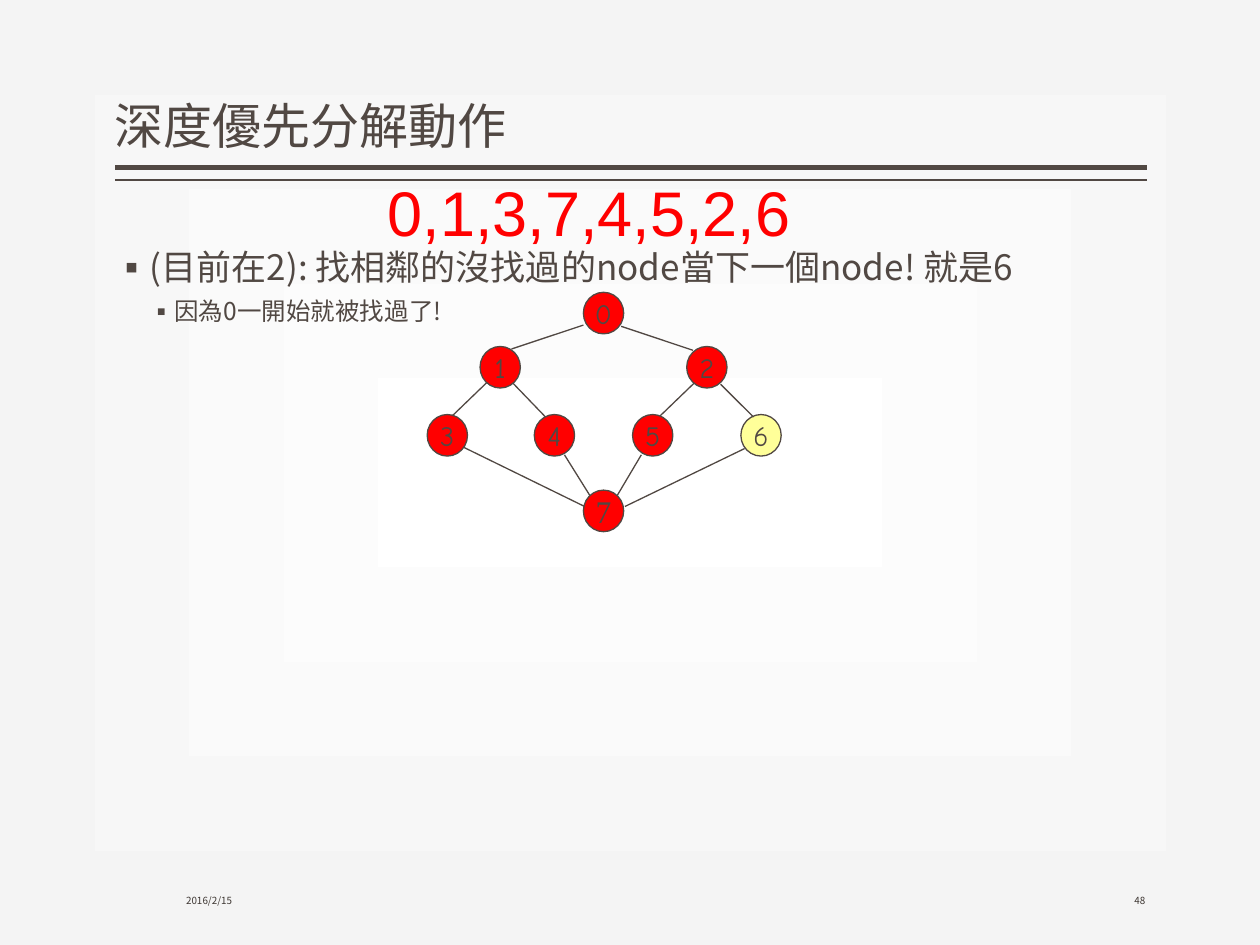
from lxml import etree
from pptx import Presentation
from pptx.dml.color import RGBColor
from pptx.enum.shapes import MSO_CONNECTOR, MSO_SHAPE
from pptx.enum.text import MSO_ANCHOR, MSO_AUTO_SIZE, PP_ALIGN
from pptx.oxml.ns import qn
from pptx.util import Inches, Pt

STRAIGHT = MSO_CONNECTOR.STRAIGHT
ELLIPSE = MSO_SHAPE.OVAL
TOP, MIDDLE, BOTTOM = MSO_ANCHOR.TOP, MSO_ANCHOR.MIDDLE, MSO_ANCHOR.BOTTOM
LEFT, CENTER, RIGHT = PP_ALIGN.LEFT, PP_ALIGN.CENTER, PP_ALIGN.RIGHT
NO_FIT, GROW = MSO_AUTO_SIZE.NONE, MSO_AUTO_SIZE.SHAPE_TO_FIT_TEXT

COLORS = {
    "text": "514843",
    "footer": "3D3632",
    "visited": "FF0000",
    "next": "FFFF99",
    "center": "FFFFFF",
    "edge": "F4F4F4",
}
BODY_FONT = "Noto Sans CJK SC"
NODE_FONT = "Comic Neue"
NODE_WIDTH, NODE_HEIGHT = 0.32, 0.33

NODES = [
    ("0", 4.63, 2.32),
    ("7", 4.63, 3.89),
    ("1", 3.81, 2.75),
    ("3", 3.39, 3.29),
    ("4", 4.24, 3.29),
    ("2", 5.45, 2.75),
    ("5", 5.02, 3.29),
    ("6", 5.88, 3.29),
]
EDGES = [
    (4.63, 2.58, 4.06, 2.77),
    (4.93, 2.59, 5.5, 2.78),
    (3.86, 3.04, 3.59, 3.3),
    (4.07, 3.04, 4.33, 3.31),
    (4.68, 3.93, 4.48, 3.61),
    (4.9, 3.93, 5.09, 3.61),
    (4.64, 4.02, 3.68, 3.55),
    (4.96, 4.02, 5.91, 3.56),
    (5.51, 3.04, 5.24, 3.3),
    (5.72, 3.05, 5.98, 3.31),
]
BULLETS = [
    ("(目前在2): 找相鄰的沒找過的node當下一個node! 就是6", 0, 20, 0.14),
    ("因為0一開始就被找過了!", 1, 14, 0.42),
]


class SlideBuilder:
    """Holds the style and the current slide, and draws each kind of element."""

    def __init__(self, slide):
        self.slide = slide
        self.shapes = slide.shapes

    def color(self, name):
        return RGBColor.from_string(COLORS[name])

    def background(self):
        fill = self.slide.background.fill
        fill.gradient()
        for stop, name in zip(fill.gradient_stops, ("center", "edge")):
            stop.color.rgb = self.color(name)
        gradient = self.slide.element.find(".//" + qn("a:gradFill"))
        gradient.remove(gradient.find(qn("a:lin")))
        shade = etree.Element(qn("a:path"), {"path": "rect"})
        etree.SubElement(shade, qn("a:fillToRect"), dict.fromkeys("ltrb", "50000"))
        gradient.find(qn("a:gsLst")).addnext(shade)

    def place(self, shape, left, top, width, height):
        shape.left, shape.top = Inches(left), Inches(top)
        shape.width, shape.height = Inches(width), Inches(height)

    def frame(self, shape, anchor, side=0.0, wrap=True, fit=NO_FIT):
        text_frame = shape.text_frame
        text_frame.word_wrap = wrap
        text_frame.auto_size = fit
        text_frame.vertical_anchor = anchor
        text_frame.margin_left = text_frame.margin_right = Inches(side)
        text_frame.margin_top = text_frame.margin_bottom = Inches(0.05)
        return text_frame

    def style(self, paragraph, size, color="text", font=BODY_FONT, align=LEFT):
        paragraph.alignment = align
        for run in paragraph.runs:
            run.font.size = Pt(size)
            run.font.color.rgb = self.color(color)
            run.font.name = font
            latin = run.font._element.find(qn("a:latin"))
            latin.addnext(etree.Element(qn("a:ea"), {"typeface": font}))

    def title(self, text):
        shape = self.shapes.title
        self.place(shape, 0.91, 0.08, 8.19, 1.2)
        text_frame = self.frame(shape, BOTTOM)
        text_frame.text = text
        text_frame.paragraphs[0].line_spacing = 0.9
        self.style(text_frame.paragraphs[0], 28)

    def bullets(self, items):
        shape = self.slide.placeholders[1]
        self.place(shape, 0.91, 1.9, 8.19, 5)
        text_frame = self.frame(shape, TOP)
        text_frame.text = "\n".join(item[0] for item in items)
        for index, (paragraph, item) in enumerate(zip(text_frame.paragraphs, items)):
            _, level, size, indent = item
            paragraph.level = level
            paragraph.space_before = Pt(4.5 if index else 0)
            properties = paragraph._p.get_or_add_pPr()
            properties.set("marL", str(Inches(indent)))
            properties.set("indent", str(Inches(-0.14)))
            etree.SubElement(properties, qn("a:buFont"), {"typeface": BODY_FONT})
            etree.SubElement(properties, qn("a:buChar"), {"char": "▪"})
            self.style(paragraph, size)

    def text(self, text, box, size, color, align, font=BODY_FONT, **frame_options):
        shape = self.shapes.add_textbox(*map(Inches, box))
        text_frame = self.frame(shape, **frame_options)
        text_frame.text = text
        self.style(text_frame.paragraphs[0], size, color, font, align)

    def node(self, label, left, top):
        box = (left, top, NODE_WIDTH, NODE_HEIGHT)
        shape = self.shapes.add_shape(ELLIPSE, *map(Inches, box))
        shape.shadow.inherit = False
        shape.fill.solid()
        shape.fill.fore_color.rgb = self.color("next" if label == "6" else "visited")
        shape.line.color.rgb = self.color("text")
        shape.line.width = Pt(0.75)
        text_frame = self.frame(shape, MIDDLE, side=0.1, wrap=False)
        text_frame.text = label
        size, font = (18, "Times New Roman") if label == "7" else (16, NODE_FONT)
        self.style(text_frame.paragraphs[0], size, font=font, align=CENTER)

    def line(self, ends, width=0.75):
        connector = self.shapes.add_connector(STRAIGHT, *map(Inches, ends))
        connector.line.color.rgb = self.color("text")
        connector.line.width = Pt(width)
        etree.SubElement(connector._element.spPr, qn("a:effectLst"))


def main():
    presentation = Presentation()
    presentation.slide_width, presentation.slide_height = Inches(10), Inches(7.5)
    slide = presentation.slides.add_slide(presentation.slide_layouts[1])
    builder = SlideBuilder(slide)

    builder.background()
    builder.line((9.1, 1.33, 0.91, 1.33), 3)
    builder.line((9.1, 1.43, 0.91, 1.43), 1)
    builder.title("深度優先分解動作")
    builder.bullets(BULLETS)
    builder.text("2016/2/15", (0.91, 6.95, 1.5, 0.4), 5.6, "footer", CENTER, anchor=MIDDLE)
    builder.text("48", (7.59, 6.95, 1.5, 0.4), 5.6, "footer", RIGHT, anchor=MIDDLE)
    for node in NODES:
        builder.node(*node)
    for edge in EDGES:
        builder.line(edge)
    builder.text("0,1,3,7,4,5,2,6", (2.98, 1.33, 3.4, 0.7), 36, "visited", LEFT,
                 font="Arial", anchor=TOP, side=0.1, wrap=False, fit=GROW)

    presentation.save("out.pptx")


if __name__ == "__main__":
    main()
